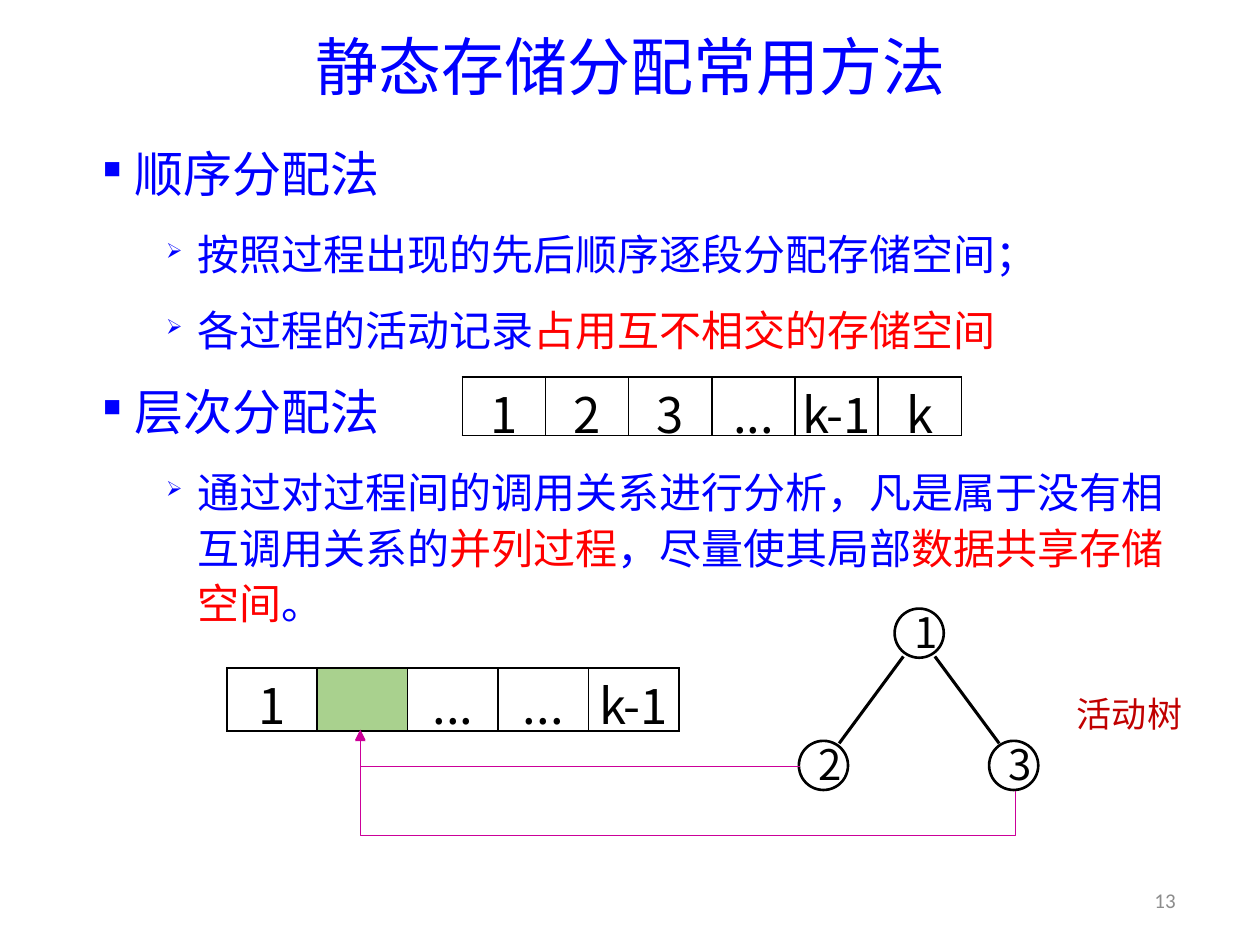
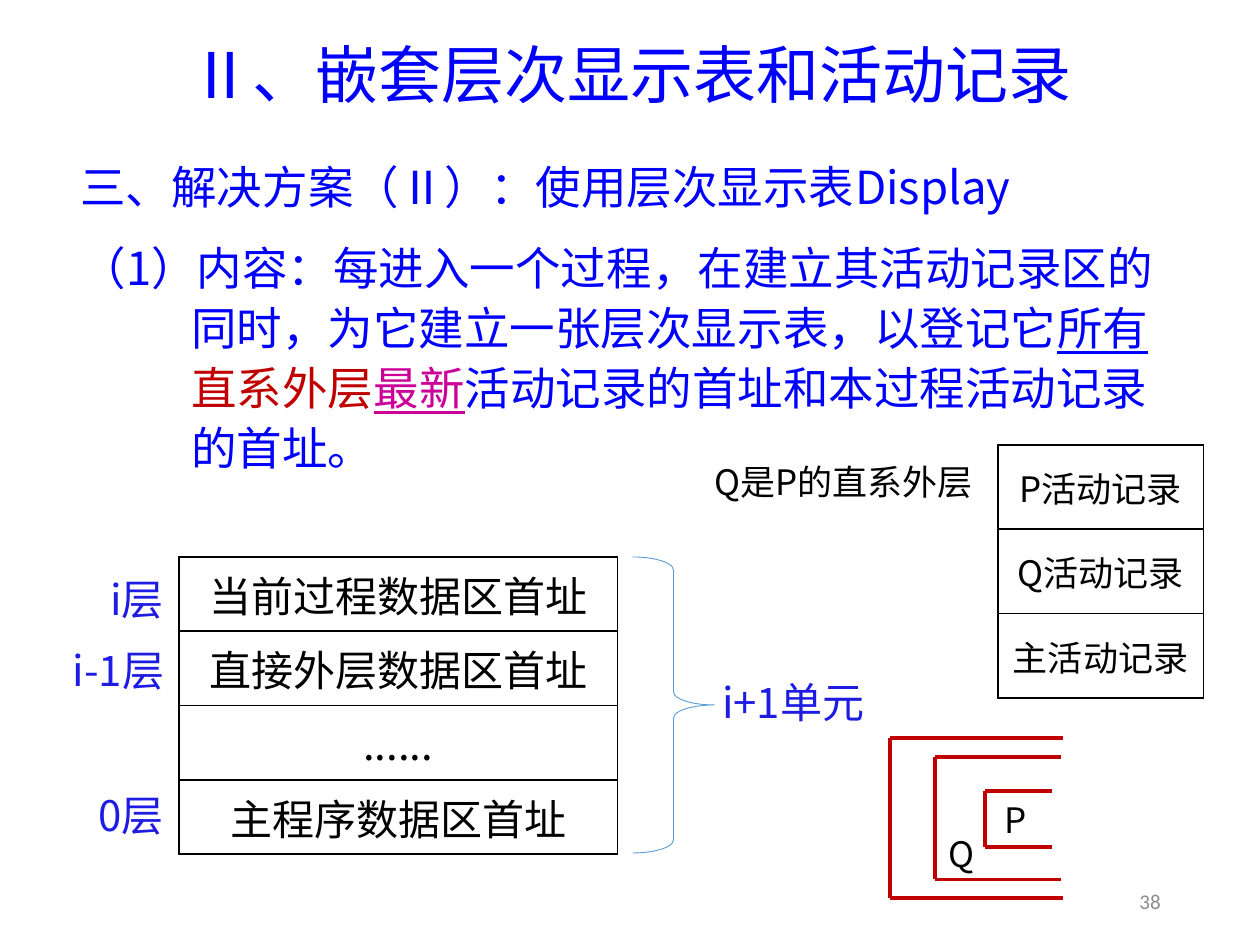
from lxml import etree
from pptx import Presentation
from pptx.dml.color import RGBColor
from pptx.enum.shapes import MSO_CONNECTOR, MSO_SHAPE
from pptx.enum.text import MSO_ANCHOR, PP_ALIGN
from pptx.oxml.ns import qn
from pptx.util import Inches, Pt

LEFT, CENTER, RIGHT = PP_ALIGN.LEFT, PP_ALIGN.CENTER, PP_ALIGN.RIGHT
TOP, MIDDLE = MSO_ANCHOR.TOP, MSO_ANCHOR.MIDDLE
OVAL, BRACE = MSO_SHAPE.OVAL, MSO_SHAPE.RIGHT_BRACE
STRAIGHT = MSO_CONNECTOR.STRAIGHT
TITLE_FONT, TEXT_FONT, NUMBER_FONT = "Noto Sans CJK JP", "Noto Sans CJK SC", "Calibri"
BLUE, INDIGO, SKY = "0000FF", "1E1CE3", "5B9BD5"
RED, DARK_RED, MAGENTA = "FF0000", "C00000", "CC0099"
BLACK, GREY, GREEN = "000000", "8C8C8C", "A9D18E"

SECTION = {"size": 28, "indent": 0.25, "hang": 0.25, "bullet": "■"}
DETAIL = {"size": 24, "indent": 0.75, "hang": 0.25, "bullet": "➢"}
HEADING = {"size": 26, "indent": 0.25, "hang": 0.25}
CLAUSE = {"size": 26, "indent": 0.88, "hang": 0.88}

ALLOCATION = {
    "title": ("静态存储分配常用方法", (0.69, 0.16, 8.62, 0.79)),
    "body_box": (0.72, 1.04, 8.62, 4.21),
    "body": [
        (SECTION, [("顺序分配法", {})]),
        (DETAIL, [("按照过程出现的先后顺序逐段分配存储空间；", {})]),
        (DETAIL, [("各过程的活动记录", {}), ("占用互不相交的存储空间", {"colour": RED})]),
        (SECTION, [("层次分配法", {})]),
        (DETAIL, [
            ("通过对过程间的调用关系进行分析，凡是属于没有相互调用关系的", {}),
            ("并列过程", {"colour": RED}),
            ("，尽量使其局部", {}),
            ("数据共享存储空间", {"colour": RED}),
            ("。", {}),
        ]),
    ],
    "tables": [
        ([["1", "2", "3", "...", "k-1", "k"]], (3.67, 2.99, 3.96, 0.44), 28, (0, 0)),
        ([["1", "", "...", "...", "k-1"]], (1.8, 5.3, 3.59, 0.5), 28, (0, 0)),
    ],
    "labels": [("活动树", (8.4, 5.47, 1.13, 0.39), 20, DARK_RED, CENTER)],
    "number": ("13", (8.96, 7, 0.47, 0.29)),
}
DISPLAY = {
    "title": ("Ⅱ、嵌套层次显示表和活动记录", (0.69, 0.27, 8.62, 0.7)),
    "body_box": (0.54, 1.17, 9.02, 2.55),
    "body": [
        (HEADING, [("三、解决方案（Ⅱ）：使用层次显示表Display", {})]),
        (CLAUSE, [
            ("（1）内容：每进入一个过程，在建立其活动记录区的同时，"
             "为它建立一张层次显示表，以登记它", {}),
            ("所有", {"underline": True}),
            ("直系外层", {"colour": DARK_RED}),
            ("最新", {"colour": MAGENTA, "underline": True}),
            ("活动记录的首址和本过程活动记录的首址。", {}),
        ]),
    ],
    "tables": [
        ([["当前过程数据区首址"], ["直接外层数据区首址"], ["......"], ["主程序数据区首址"]],
         (1.42, 4.42, 3.48, 2.36), 24, (0.1, 0.05)),
        ([["P活动记录"], ["Q活动记录"], ["主活动记录"]],
         (7.92, 3.53, 1.63, 2.01), 20, (0.1, 0.05)),
    ],
    "labels": [
        ("i+1单元", (5.52, 5.29, 1.55, 0.55), 24, INDIGO, CENTER),
        ("i层", (0.46, 4.48, 0.94, 0.55), 24, INDIGO, RIGHT),
        ("i-1层", (0.32, 5.04, 1.08, 0.55), 24, INDIGO, RIGHT),
        ("0层", (0.46, 6.19, 0.94, 0.55), 24, INDIGO, RIGHT),
        ("Q是P的直系外层", (5.35, 3.55, 2.47, 0.55), 20, BLACK, RIGHT),
        ("P", (7.87, 6.33, 0.31, 0.35), 20, BLACK, RIGHT),
        ("Q", (7.43, 6.56, 0.35, 0.42), 20, BLACK, RIGHT),
    ],
    "number": ("38", (8.69, 6.95, 0.62, 0.4)),
}
NODE_SIZE = 0.39
TREE_NODES = [("1", 7.1, 4.83), ("2", 6.34, 5.88), ("3", 7.85, 5.88)]
TREE_EDGES = [(7.42, 5.21, 7.93, 5.9), (7.17, 5.21, 6.66, 5.9)]
SHARING_ARROWS = [
    [(6.35, 6.08), (2.86, 6.08), (2.86, 5.8)],
    [(8.06, 6.28), (8.06, 6.63), (2.86, 6.63), (2.86, 5.79)],
]
BRACE_BOX = (5.02, 4.42, 0.65, 2.35)
SCOPES = [(7.06, 5.86, 8.44, 7.13), (7.42, 6.01, 8.42, 6.98), (7.82, 6.28, 8.35, 6.72)]


def rgb(colour):
    return RGBColor.from_string(colour)


def inches(values):
    return [Inches(value) for value in values]


def apply(target, values):
    for name, value in values.items():
        setattr(target, name, value)


def set_frame(frame, anchor, margins=(0.1, 0.05, 0.1, 0.05)):
    left, top, right, bottom = inches(margins)
    apply(frame, {"word_wrap": True, "vertical_anchor": anchor, "margin_left": left,
                  "margin_top": top, "margin_right": right, "margin_bottom": bottom})


def add_run(paragraph, text, size, colour=BLUE, font=TEXT_FONT, underline=None):
    run = paragraph.add_run()
    run.text = text
    apply(run.font, {"size": Pt(size), "name": font, "underline": underline})
    run.font.color.rgb = rgb(colour)
    east_asian = etree.SubElement(run._r.get_or_add_rPr(), qn("a:ea"))
    east_asian.set("typeface", font)


def write(frame, text, size, colour, align, font=TEXT_FONT):
    paragraph = frame.paragraphs[0]
    paragraph.alignment = align
    add_run(paragraph, text, size, colour, font)


def add_label(slide, text, box, size, colour, align, font=TEXT_FONT):
    frame = slide.shapes.add_textbox(*inches(box)).text_frame
    set_frame(frame, MIDDLE)
    write(frame, text, size, colour, align, font)


def add_title(slide, text, box):
    title = slide.shapes.title
    apply(title, dict(zip(("left", "top", "width", "height"), inches(box))))
    set_frame(title.text_frame, MIDDLE)
    write(title.text_frame, text, 36, BLUE, CENTER, TITLE_FONT)
    title.text_frame.paragraphs[0].line_spacing = 0.9


def add_body(slide, box, body):
    frame = slide.shapes.add_textbox(*inches(box)).text_frame
    set_frame(frame, TOP)
    for index, (level, runs) in enumerate(body):
        paragraph = frame.add_paragraph() if index else frame.paragraphs[0]
        properties = paragraph._p.get_or_add_pPr()
        properties.set("marL", str(Inches(level["indent"])))
        properties.set("indent", str(-Inches(level["hang"])))
        if "bullet" in level:
            etree.SubElement(properties, qn("a:buSzPct")).set("val", "50000")
            etree.SubElement(properties, qn("a:buChar")).set("char", level["bullet"])
        apply(paragraph, {"alignment": LEFT, "line_spacing": 1.1, "space_after": Pt(6),
                          "space_before": Pt(6 if index else 0)})
        for text, changes in runs:
            add_run(paragraph, text, level["size"], **changes)


def set_borders(cell):
    properties = cell._tc.get_or_add_tcPr()
    for index, side in enumerate(("lnL", "lnR", "lnT", "lnB")):
        border = etree.Element(qn(f"a:{side}"), w=str(Pt(1)))
        fill = etree.SubElement(border, qn("a:solidFill"))
        etree.SubElement(fill, qn("a:srgbClr")).set("val", BLACK)
        properties.insert(index, border)


def add_grid(slide, rows, box, size, margins):
    table = slide.shapes.add_table(len(rows), len(rows[0]), *inches(box)).table
    apply(table, {"first_row": False, "horz_banding": False})
    side, edge = inches(margins)
    for row_index, row in enumerate(rows):
        for column_index, text in enumerate(row):
            cell = table.cell(row_index, column_index)
            apply(cell, {"vertical_anchor": MIDDLE, "margin_left": side, "margin_right": side,
                         "margin_top": edge, "margin_bottom": edge})
            if text:
                cell.fill.background()
                write(cell.text_frame, text, size, BLACK, CENTER)
            else:
                cell.fill.solid()
                cell.fill.fore_color.rgb = rgb(GREEN)
            set_borders(cell)


def set_outline(shape, colour, width):
    shape.shadow.inherit = False
    shape.fill.background()
    shape.line.color.rgb = rgb(colour)
    shape.line.width = Pt(width)


def add_line(slide, ends, colour, width):
    line = slide.shapes.add_connector(STRAIGHT, *inches(ends))
    line.line.color.rgb = rgb(colour)
    line.line.width = Pt(width)
    etree.SubElement(line._element.spPr, qn("a:effectLst"))


def add_arrow(slide, points):
    start, *rest = [inches(point) for point in points]
    builder = slide.shapes.build_freeform(*start)
    builder.add_line_segments(rest, close=False)
    arrow = builder.convert_to_shape()
    set_outline(arrow, MAGENTA, 0.5)
    etree.SubElement(arrow.line._get_or_add_ln(), qn("a:tailEnd")).set("type", "triangle")


def add_tree(slide):
    for edge in TREE_EDGES:
        add_line(slide, edge, BLACK, 1.75)
    for text, left, top in TREE_NODES:
        node = slide.shapes.add_shape(OVAL, *inches((left, top, NODE_SIZE, NODE_SIZE)))
        set_outline(node, BLACK, 1.5)
        set_frame(node.text_frame, MIDDLE, (0.1, 0.05, 0.1, 0.08))
        write(node.text_frame, text, 24, BLACK, CENTER)


def add_scope(slide, left, top, right, bottom):
    for ends in ((left, top, right, top), (left, top, left, bottom),
                 (left, bottom, right, bottom)):
        add_line(slide, ends, DARK_RED, 2.25)


def add_page(deck, page):
    slide = deck.slides.add_slide(deck.slide_layouts[5])
    add_title(slide, *page["title"])
    add_body(slide, page["body_box"], page["body"])
    for grid in page["tables"]:
        add_grid(slide, *grid)
    for label in page["labels"]:
        add_label(slide, *label)
    add_label(slide, *page["number"], 12, GREY, RIGHT, NUMBER_FONT)
    return slide


def main():
    deck = Presentation()
    apply(deck, {"slide_width": Inches(10), "slide_height": Inches(7.5)})

    allocation = add_page(deck, ALLOCATION)
    add_tree(allocation)
    for points in SHARING_ARROWS:
        add_arrow(allocation, points)

    display = add_page(deck, DISPLAY)
    brace = display.shapes.add_shape(BRACE, *inches(BRACE_BOX))
    set_outline(brace, SKY, 0.5)
    brace.adjustments[0] = 0.16
    for scope in SCOPES:
        add_scope(display, *scope)

    deck.save("out.pptx")


if __name__ == "__main__":
    main()
